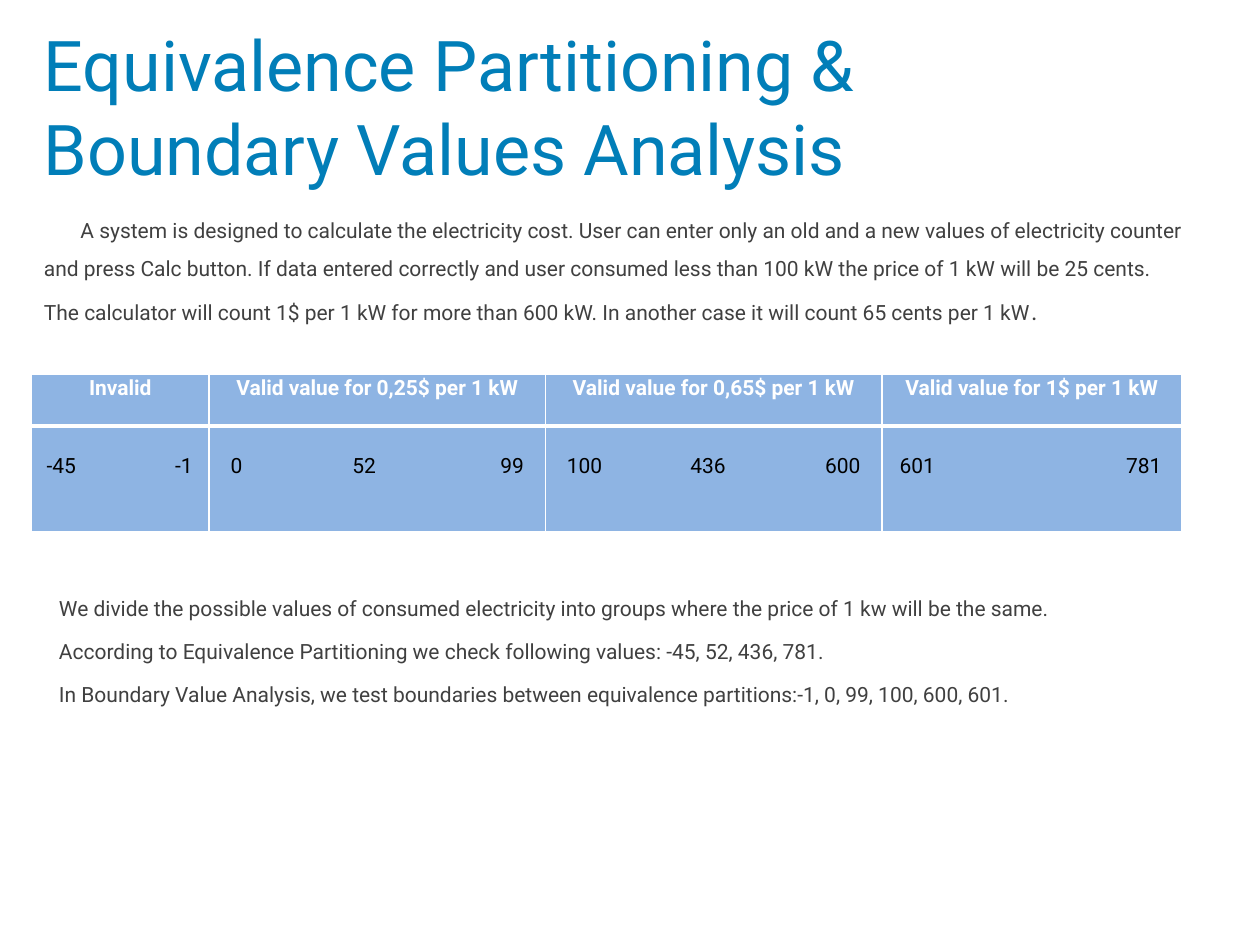
from lxml.etree import SubElement
from pptx import Presentation
from pptx.dml.color import RGBColor
from pptx.enum.text import MSO_ANCHOR as Anchor, PP_ALIGN as Align
from pptx.oxml.ns import qn
from pptx.util import Inches, Pt

BLUE = RGBColor(0x01, 0x7E, 0xB8)
GRAY = RGBColor(0x40, 0x40, 0x40)
LIGHT_BLUE = RGBColor(0x8E, 0xB4, 0xE3)
WHITE = RGBColor(0xFF, 0xFF, 0xFF)
BLACK = RGBColor(0x00, 0x00, 0x00)

COLUMNS, ROWS = 100, 75

TITLE = ["Equivalence Partitioning & ", "Boundary Values Analysis"]
TASK = (
    "A system is designed to calculate the electricity cost. User can enter only "
    "an old and a new values of electricity counter and press Calc button. If data "
    "entered correctly and user consumed less than 100 kW the price of 1 kW will be "
    "25 cents. The calculator will count 1$ per 1 kW for more than 600 kW. In "
    "another case it will count 65 cents per 1 kW"
)
NOTES = [
    "We divide the possible values of consumed electricity into groups where the "
    "price of 1 kw will be the same.",
    "According to Equivalence Partitioning we check following values: -45, 52, 436, 781.",
    "In Boundary Value Analysis, we test boundaries between equivalence "
    "partitions:-1, 0, 99, 100, 600, 601.",
]
PARTITIONS = [
    ("Invalid", 14.1, 1.2, ["-45", "-1"], [("r", 11.6)]),
    ("Valid value for 0,25$ per 1 kW", 26.7, 1.7, ["0", "52", "99"],
     [("ctr", 10.6), ("r", 23.3)]),
    ("Valid value for 0,65$ per 1 kW", 26.7, 1.7, ["100", "436", "600"],
     [("ctr", 11.2), ("r", 23.3)]),
    ("Valid value for 1$ per 1 kW", 23.8, 1.4, ["601", "781"], [("r", 20.8)]),
]


class SlideBuilder:
    font = "Roboto"
    size = 12

    def __init__(self, presentation):
        self.column = presentation.slide_width / COLUMNS
        self.row = presentation.slide_height / ROWS
        self.slide = presentation.slides.add_slide(presentation.slide_layouts[6])

    def across(self, columns):
        return round(columns * self.column)

    def down(self, rows):
        return round(rows * self.row)

    def place(self, left, top, width, height):
        return self.across(left), self.down(top), self.across(width), self.down(height)

    def run(self, paragraph, text, color, size=None, bold=False):
        run = paragraph.add_run()
        run.text = text
        run.font.name = self.font
        run.font.size = Pt(size or self.size)
        run.font.bold = bold
        run.font.color.rgb = color

    def text_frame(self, *box):
        frame = self.slide.shapes.add_textbox(*self.place(*box)).text_frame
        frame.word_wrap = True
        return frame

    def title(self, lines, *box):
        frame = self.text_frame(*box)
        frame.vertical_anchor = Anchor.MIDDLE
        paragraph = frame.paragraphs[0]
        for index, line in enumerate(lines):
            if index:
                paragraph.add_line_break()
            self.run(paragraph, line, BLUE, 40)

    def body(self, paragraphs, box, space, margin=0, indent=0):
        frame = self.text_frame(*box)
        for index, runs in enumerate(paragraphs):
            paragraph = frame.add_paragraph() if index else frame.paragraphs[0]
            paragraph.line_spacing = 1.5
            paragraph.space_before = Pt(space)
            properties = paragraph._p.get_or_add_pPr()
            properties.set("marL", str(self.across(margin)))
            properties.set("indent", str(self.across(indent)))
            for text, size in runs:
                self.run(paragraph, text, GRAY, size)

    def border(self, cell, bottom):
        properties = cell._tc.get_or_add_tcPr()
        for side, width in (("L", 1), ("R", 1), ("T", 1), ("B", bottom)):
            line = SubElement(properties, qn(f"a:ln{side}"), w=str(Pt(width)))
            fill = SubElement(line, qn("a:solidFill"))
            SubElement(fill, qn("a:srgbClr"), val=str(WHITE))

    def cell(self, cell, text, color, align, left=0.7, top=0, bold=False,
             bottom=1, tabs=()):
        cell.margin_left = self.across(left)
        cell.margin_right = self.across(0.7)
        cell.margin_top = self.down(top)
        cell.margin_bottom = 0
        self.border(cell, bottom)
        cell.fill.solid()
        cell.fill.fore_color.rgb = LIGHT_BLUE
        paragraph = cell.text_frame.paragraphs[0]
        paragraph.alignment = align
        paragraph.line_spacing = 1.07
        if tabs:
            stops = SubElement(paragraph._p.get_or_add_pPr(), qn("a:tabLst"))
            for kind, position in tabs:
                SubElement(stops, qn("a:tab"), pos=str(self.across(position)), algn=kind)
        self.run(paragraph, text, color, bold=bold)

    def table(self, partitions, heights, *box):
        frame = self.slide.shapes.add_table(2, len(partitions), *self.place(*box))
        table = frame.table
        table.first_row = table.horz_banding = False
        for row, height in zip(table.rows, heights):
            row.height = self.down(height)
        for index, (heading, width, left, values, tabs) in enumerate(partitions):
            table.columns[index].width = self.across(width)
            self.cell(table.cell(0, index), heading, WHITE, Align.CENTER,
                      bold=True, bottom=3)
            self.cell(table.cell(1, index), "\t".join(values), BLACK, Align.LEFT,
                      left=left, top=2.1, tabs=tabs)


def main():
    presentation = Presentation()
    presentation.slide_width = Inches(10)
    presentation.slide_height = Inches(7.5)
    builder = SlideBuilder(presentation)
    builder.body([[(TASK, 12), (".", 14)]], (2.5, 15.8, 92.5, 12.5), 5, indent=2.9)
    builder.title(TITLE, 2.5, 2.5, 92.5, 11.7)
    builder.table(PARTITIONS, (4.1, 8.4), 2.5, 29.7, 91.3, 12.5)
    builder.body([[(note, 12)] for note in NOTES], (1.7, 45.8, 90, 12.9), 3, margin=2)
    presentation.save("out.pptx")


if __name__ == "__main__":
    main()
